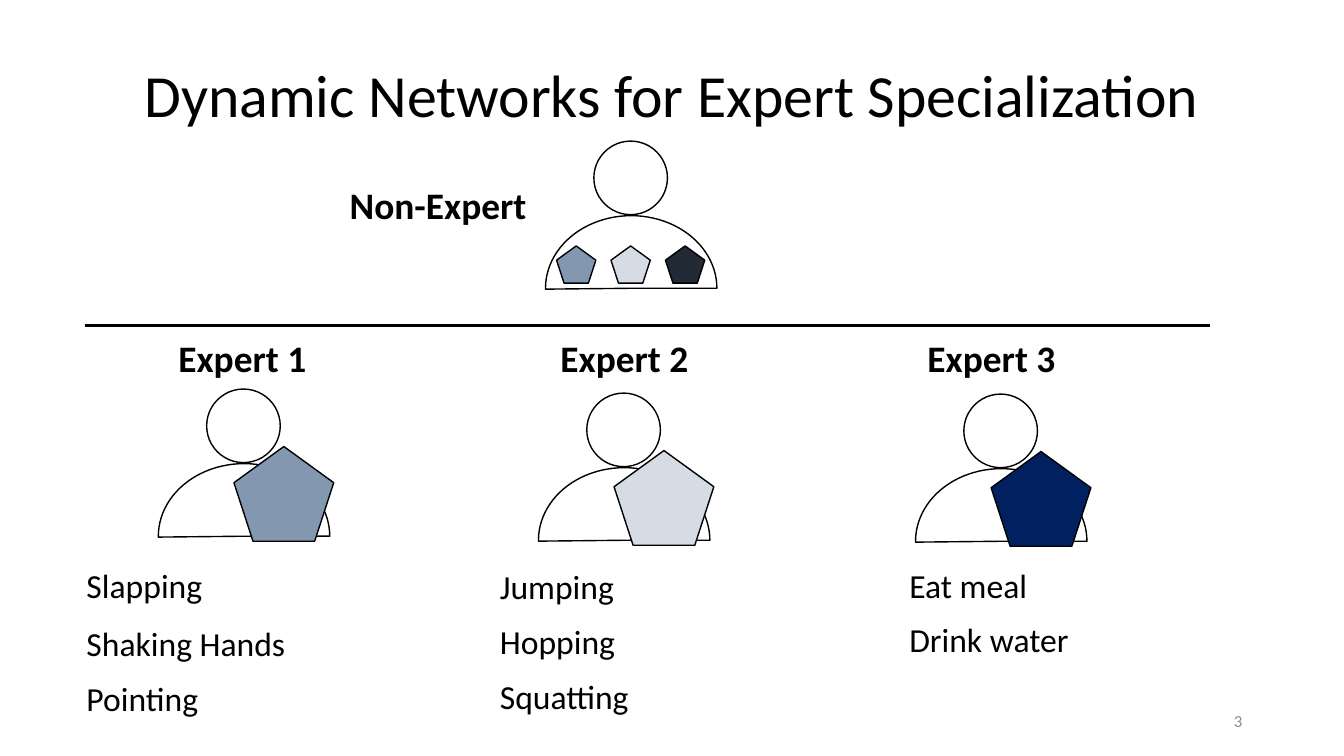
from lxml import etree
from pptx import Presentation
from pptx.dml.color import RGBColor
from pptx.enum.shapes import MSO_CONNECTOR, MSO_SHAPE
from pptx.enum.text import MSO_ANCHOR, MSO_AUTO_SIZE, PP_ALIGN
from pptx.oxml.ns import qn
from pptx.util import Inches, Pt

OVAL, PIE, PENTA = MSO_SHAPE.OVAL, MSO_SHAPE.PIE, MSO_SHAPE.REGULAR_PENTAGON
STRAIGHT = MSO_CONNECTOR.STRAIGHT
LEFT, CENTER, RIGHT = PP_ALIGN.LEFT, PP_ALIGN.CENTER, PP_ALIGN.RIGHT
TOP, MIDDLE = MSO_ANCHOR.TOP, MSO_ANCHOR.MIDDLE
NO_FIT = MSO_AUTO_SIZE.NONE

BLACK = RGBColor(0x00, 0x00, 0x00)
WHITE = RGBColor(0xFF, 0xFF, 0xFF)
GRAY = RGBColor(0x8C, 0x8C, 0x8C)
STEEL = RGBColor(0x84, 0x97, 0xB0)
PALE = RGBColor(0xD6, 0xDC, 0xE5)
NAVY = RGBColor(0x00, 0x20, 0x60)
DARK = RGBColor(0x22, 0x2A, 0x35)


class Board:
    font = "Calibri"

    def __init__(self, slide):
        self.slide = slide

    def style(self, frame, text, size, color=BLACK, bold=False,
              align=LEFT, anchor=TOP):
        frame.text = text
        frame.word_wrap = True
        frame.auto_size = NO_FIT
        frame.vertical_anchor = anchor
        para = frame.paragraphs[0]
        para.alignment = align
        font = para.runs[0].font
        font.name, font.size, font.bold = self.font, Pt(size), bold
        font.color.rgb = color

    def title(self, text, x, y, w, h):
        head = self.slide.shapes.title
        head.left, head.top = Inches(x), Inches(y)
        head.width, head.height = Inches(w), Inches(h)
        frame = head.text_frame
        frame.margin_left = frame.margin_right = Inches(0.13)
        frame.margin_top = frame.margin_bottom = Inches(0.07)
        self.style(frame, text, 42.7, align=CENTER, anchor=MIDDLE)

    def text(self, text, x, y, w, h, size, **look):
        box = self.slide.shapes.add_textbox(
            Inches(x), Inches(y), Inches(w), Inches(h))
        self.style(box.text_frame, text, size, **look)

    def label(self, text, x, y, w):
        self.text(text, x, y, w, 0.55, 26.7, bold=True)

    def shape(self, kind, x, y, w, h, fill=WHITE):
        item = self.slide.shapes.add_shape(
            kind, Inches(x), Inches(y), Inches(w), Inches(h))
        item.shadow.inherit = False
        item.fill.solid()
        item.fill.fore_color.rgb = fill
        item.line.color.rgb = BLACK
        item.line.width = Pt(1)
        return item

    def person(self, x, y):
        """Draw a head at x, y with a half-round body below it."""
        self.shape(OVAL, x, y, 0.73, 0.73)
        body = self.shape(PIE, x - 0.35, y + 0.61, 1.44, 1.7)
        body.adjustments[0] = 53.634
        body.adjustments[1] = 162
        body.rotation = 90

    def rule(self, x, y, end):
        line = self.slide.shapes.add_connector(
            STRAIGHT, Inches(x), Inches(y), Inches(end), Inches(y))
        line.line.color.rgb = BLACK
        line.line.width = Pt(2.25)
        etree.SubElement(line._element.spPr, qn("a:effectLst"))


def main():
    deck = Presentation()
    deck.slide_width, deck.slide_height = Inches(13.33), Inches(7.5)
    board = Board(deck.slides.add_slide(deck.slide_layouts[5]))

    # Title and page number
    board.title("Dynamic Networks for Expert Specialization", 0, 0.3, 13.33, 1.25)
    board.text("3", 9.42, 6.95, 3, 0.4, 12, color=GRAY, align=RIGHT, anchor=MIDDLE)

    # Experts: name, name x, head x, head y, color, list x, actions with y
    experts = [
        ("Expert 1", 1.67, 2.05, 3.86, STEEL, 0.76,
         [("Slapping", 5.56), ("Shaking Hands", 6.13), ("Pointing", 6.68)]),
        ("Expert 2", 5.46, 5.82, 3.9, PALE, 4.86,
         [("Jumping", 5.57), ("Hopping", 6.11), ("Squatting", 6.66)]),
        ("Expert 3", 9.1, 9.56, 3.91, NAVY, 8.92,
         [("Eat meal", 5.56), ("Drink water", 6.09)]),
    ]
    for name, left, x, y, color, start, acts in experts:
        board.label(name, left, 3.28, 1.82)
        board.person(x, y)
        board.shape(PENTA, x + 0.27, y + 0.57, 0.99, 0.94, color)
        for act, top in acts:
            board.text(act, start, top, 2.76, 0.5, 24)

    # Non-expert with all three skills
    board.label("Non-Expert", 3.37, 1.76, 2.27)
    board.person(5.89, 1.4)
    for i, color in enumerate((STEEL, PALE, DARK)):
        board.shape(PENTA, 5.52 + 0.54 * i, 2.44, 0.39, 0.37, color)

    # Divider
    board.rule(0.84, 3.23, 12)

    deck.save("out.pptx")


if __name__ == "__main__":
    main()
